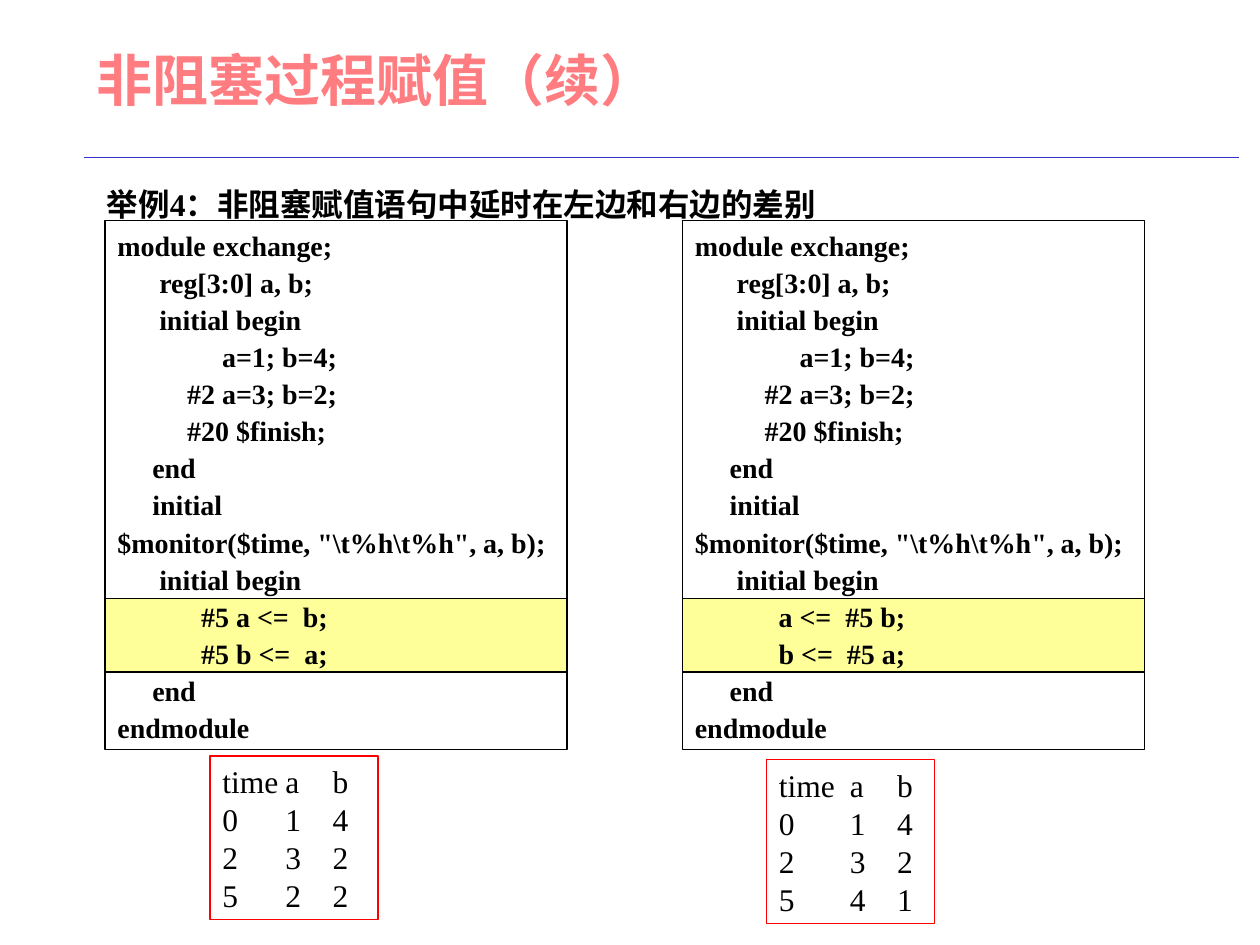
import pptx
import pptx.dml.color
import pptx.enum.shapes
import pptx.enum.text
import pptx.oxml.ns
import pptx.util
from lxml import etree

Pt = pptx.util.Pt
ANCHOR = pptx.enum.text.MSO_ANCHOR
LEFT = pptx.enum.text.PP_ALIGN.LEFT
COLORS = {"title": "FF7C80", "rule": "3333CC", "text": "000000",
          "highlight": "FFFF99", "trace": "FF0000"}
CODE = """module exchange;
      reg[3:0] a, b;
      initial begin
               a=1; b=4;
          #2 a=3; b=2;
          #20 $finish;
     end
     initial
$monitor($time, "\\t%h\\t%h", a, b);
      initial begin
            {}
            {}
     end
endmodule"""


def rgb(name):
    """Return the named colour."""
    return pptx.dml.color.RGBColor.from_string(COLORS[name])


def write(tf, lines, size, color="text", bold=False, pitch=None, stops=()):
    """Write left-aligned lines with optional fixed pitch and tab stops."""
    qn = pptx.oxml.ns.qn
    tf.word_wrap = True
    for i, line in enumerate(lines):
        p = tf.paragraphs[0] if i == 0 else tf.add_paragraph()
        p.text = line
        p.alignment = LEFT
        if stops:
            tabs = etree.SubElement(p._p.get_or_add_pPr(), qn("a:tabLst"))
            for stop in stops:
                etree.SubElement(tabs, qn("a:tab"), pos=str(Pt(stop)), algn="l")
        if pitch:
            p.line_spacing = Pt(pitch)
        p.font.size = Pt(size)
        p.font.name = "Times New Roman"
        p.font.bold = bold
        p.font.color.rgb = rgb(color)


def add_box(s, x, y, w, h, line, fill=None):
    """Add an outlined rectangle and return its text frame."""
    sp = s.shapes.add_shape(pptx.enum.shapes.MSO_SHAPE.RECTANGLE,
                            Pt(x), Pt(y), Pt(w), Pt(h))
    sp.shadow.inherit = False
    sp.line.color.rgb = rgb(line)
    sp.line.width = Pt(0.75)
    if fill:
        sp.fill.solid()
        sp.fill.fore_color.rgb = rgb(fill)
    else:
        sp.fill.background()
    sp.text_frame.vertical_anchor = ANCHOR.TOP
    return sp.text_frame


def add_header(s, x, y, w, h):
    """Place the title, the rule below it and the example heading."""
    title = s.shapes.title
    title.left, title.top, title.width, title.height = Pt(x), Pt(y), Pt(w), Pt(h)
    title.text_frame.vertical_anchor = ANCHOR.MIDDLE
    write(title.text_frame, ["非阻塞过程赋值（续）"], 32, "title", True)
    rule = s.shapes.add_connector(pptx.enum.shapes.MSO_CONNECTOR.STRAIGHT,
                                  Pt(x), Pt(y + h), Pt(x + 660), Pt(y + h))
    rule.line.color.rgb = rgb("rule")
    rule.line.width = Pt(0.75)
    etree.SubElement(rule._element.spPr, pptx.oxml.ns.qn("a:effectLst"))
    heading = s.shapes.add_textbox(Pt(x + 6), Pt(y + h + 12), Pt(462), Pt(29))
    write(heading.text_frame, ["举例4：非阻塞赋值语句中延时在左边和右边的差别"], 18, bold=True)


def add_code(s, x, y, w, h, assignments):
    """Place a code listing with its two assignments highlighted."""
    add_box(s, x, y + 216, w, 42, "text", "highlight")
    tf = add_box(s, x, y, w, h, "text")
    tf.margin_top = Pt(2.4)
    write(tf, CODE.format(*assignments).split("\n"), 16, bold=True, pitch=21.2)


def add_trace(s, x, y, w, h, rows, stops):
    """Place the values that the simulation prints."""
    tf = add_box(s, x, y, w, h, "trace")
    lines = ["\t".join(map(str, row)) for row in [("time", "a", "b"), *rows]]
    write(tf, lines, 18, pitch=21.7, stops=stops)


def main():
    """Build the slide."""
    prs = pptx.Presentation()
    prs.slide_width, prs.slide_height = Pt(720), Pt(540)
    s = prs.slides.add_slide(prs.slide_layouts[5])
    add_header(s, 48, 0, 624, 90)
    add_code(s, 60, 126, 264, 302.4, ("#5 a <=  b;", "#5 b <=  a;"))
    add_code(s, 390, 126, 264, 302.4, ("a <=  #5 b;", "b <=  #5 a;"))
    add_trace(s, 120, 432, 96, 93.6, [(0, 1, 4), (2, 3, 2), (5, 2, 2)], (36, 63))
    add_trace(s, 438, 434, 96, 93.6, [(0, 1, 4), (2, 3, 2), (5, 4, 1)], (40.5, 67.5))
    prs.save("out.pptx")


if __name__ == "__main__":
    main()
